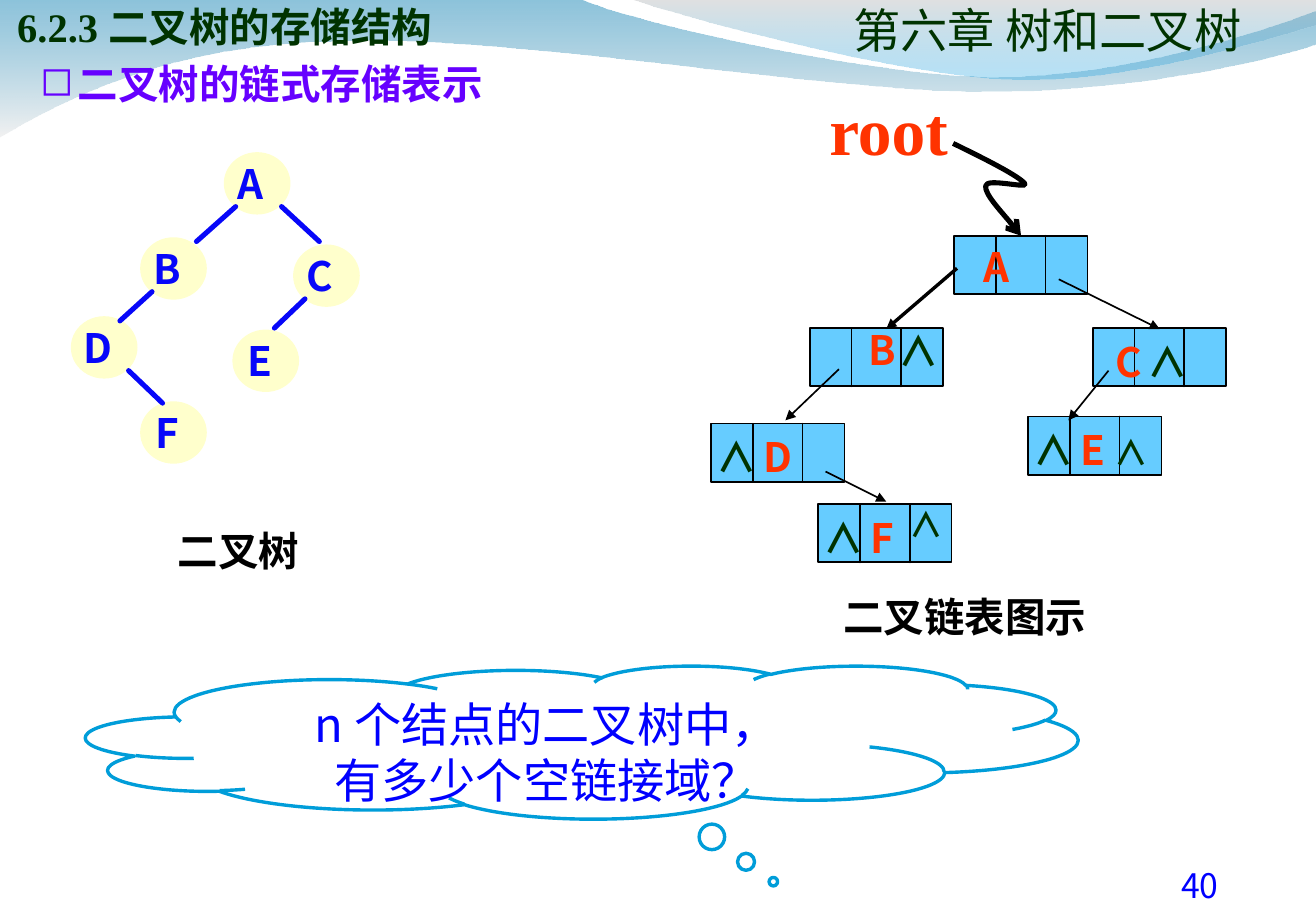
from dataclasses import dataclass

from lxml import etree
from pptx import Presentation
from pptx.dml.color import RGBColor
from pptx.enum.shapes import MSO_CONNECTOR, MSO_SHAPE
from pptx.enum.text import MSO_ANCHOR, MSO_AUTO_SIZE, PP_ALIGN
from pptx.oxml.ns import qn
from pptx.util import Cm, Pt

LEFT, CENTER = PP_ALIGN.LEFT, PP_ALIGN.CENTER
TOP, MIDDLE, BOTTOM = MSO_ANCHOR.TOP, MSO_ANCHOR.MIDDLE, MSO_ANCHOR.BOTTOM
NO_AUTOFIT = MSO_AUTO_SIZE.NONE
RECTANGLE, OVAL, CLOUD = MSO_SHAPE.RECTANGLE, MSO_SHAPE.OVAL, MSO_SHAPE.CLOUD_CALLOUT
STRAIGHT = MSO_CONNECTOR.STRAIGHT


@dataclass(frozen=True)
class Theme:
    sans: str = "Noto Sans CJK SC"
    serif: str = "Times New Roman"
    ink: str = "000000"
    green: str = "003300"
    red: str = "FF3300"
    purple: str = "6600FF"
    blue: str = "0000FF"
    tree_blue: str = "0707F9"
    tree_fill: str = "FFFFCC"
    cell_fill: str = "66CCFF"
    cloud_line: str = "009DD9"
    white: str = "FFFFFF"
    root_size: int = 40
    large: int = 28
    body: int = 24
    small: int = 20
    gap: int = 18
    narrow_gap: int = 14


THEME = Theme()


@dataclass(frozen=True)
class Run:
    text: str
    color: str
    size: int = THEME.body
    bold: bool = True
    font: str = THEME.sans


@dataclass(frozen=True)
class Label:
    """Text at an offset from the corner of its linked node."""
    runs: tuple[Run, ...]
    dx: float = 0.11
    dy: float = 0.18


@dataclass(frozen=True)
class LinkedNode:
    left: float
    top: float
    labels: tuple[Label, ...]


@dataclass(frozen=True)
class TreeNode:
    letter: str
    left: float
    top: float


@dataclass(frozen=True)
class Link:
    x1: float
    y1: float
    x2: float
    y2: float
    width: float = 1


@dataclass(frozen=True)
class Wave:
    start: tuple
    segments: tuple
    stops: tuple


NULL = Run("∧", THEME.green)
SMALL_NULL = Run("∧", THEME.green, THEME.small)
GAP = Run(" ", THEME.green, THEME.gap)
NARROW_GAP = Run(" ", THEME.green, THEME.narrow_gap)

LINKED_NODES = (
    LinkedNode(19.96, 4.93, (Label((Run("A", THEME.red),), 0.62, 0.13),)),
    LinkedNode(16.94, 6.86, (Label((Run("B", THEME.red),), 1.22, -0.07),
                             Label((NULL,), 1.86, -0.05))),
    LinkedNode(22.86, 6.86, (Label((Run("C", THEME.red), NARROW_GAP, NULL), 0.48),)),
    LinkedNode(14.88, 8.86, (Label((NULL, GAP, Run("D", THEME.red))),)),
    LinkedNode(21.51, 8.71, (Label((NULL, GAP, Run("E ", THEME.red), SMALL_NULL)),)),
    LinkedNode(17.12, 10.54, (Label((NULL, GAP, Run("F", THEME.red))),
                              Label((SMALL_NULL,), 1.9, 0))),
)
POINTERS = (
    Link(20.02, 5.61, 18.54, 6.88, 2), Link(22.15, 5.84, 24.26, 6.88),
    Link(17.55, 7.72, 16.43, 8.79), Link(23.19, 7.75, 22.35, 8.79),
    Link(17.27, 9.86, 18.54, 10.49),
)
TREE_NODES = (
    TreeNode("A", 4.7, 3.2), TreeNode("B", 2.95, 4.98), TreeNode("C", 6.15, 5.13),
    TreeNode("D", 1.5, 6.63), TreeNode("E", 4.88, 6.91), TreeNode("F", 2.95, 8.41),
)
BRANCHES = (
    Link(4.93, 4.32, 4.11, 5.05, 3), Link(5.89, 4.32, 6.68, 5.05, 3),
    Link(3.18, 6.1, 2.51, 6.71, 3), Link(6.38, 6.25, 5.74, 6.86, 3),
    Link(2.69, 7.75, 3.4, 8.43, 3),
)
WAVES = (
    Wave((0, -0.03), (
        ((12.12, -0.03),),
        ((13.08, 0.43), (18.26, 1.6), (20.88, 1.6)),
        ((23.47, 1.6), (26.37, 0.66), (27.51, 0.23)),
        ((27.56, 0.91),),
        ((27.05, 1.12), (23.93, 1.93), (20.52, 1.91)),
        ((17.12, 1.91), (10.52, 0.71), (7.09, 0.86)),
        ((3.56, 0.89), (1.27, 2.11), (-0.03, 2.87)),
    ), (("0079AF", 45), ("E7E7E7", 55))),
    Wave((13.18, -0.03), (
        ((14.02, 0.28), (18.77, 1.57), (21.16, 1.65)),
        ((23.55, 1.75), (26.47, 0.81), (27.51, 0.53)),
        ((27.51, 0),),
    ), (("BCBCBC", 45), ("009BE5", 30))),
)
ROOT_CURVE = (
    ((20.62, 3.33), (21.31, 3.68), (21.44, 3.84)),
    ((21.54, 3.96), (20.62, 3.71), (20.62, 3.89)),
    ((20.6, 4.06), (21.23, 4.75), (21.36, 4.93)),
)


def rgb(color: str) -> RGBColor:
    return RGBColor.from_string(color)


def add_runs(paragraph, runs: tuple[Run, ...], align=LEFT) -> None:
    paragraph.alignment = align
    for item in runs:
        run = paragraph.add_run()
        run.text = item.text
        run.font.name, run.font.size, run.font.bold = item.font, Pt(item.size), item.bold
        run.font.color.rgb = rgb(item.color)
        etree.SubElement(run.font._element, qn("a:ea"), typeface=THEME.sans)


def set_frame(shape, margins=(0, 0, 0, 0), anchor=TOP, wrap=True):
    frame = shape.text_frame
    frame.margin_left, frame.margin_top, frame.margin_right, frame.margin_bottom = map(Cm, margins)
    frame.word_wrap, frame.auto_size, frame.vertical_anchor = wrap, NO_AUTOFIT, anchor
    return frame


def add_text(slide, box: tuple, runs: tuple[Run, ...], align=LEFT, anchor=TOP, wrap=True):
    shape = slide.shapes.add_textbox(*map(Cm, box))
    paragraph = set_frame(shape, anchor=anchor, wrap=wrap).paragraphs[0]
    add_runs(paragraph, runs, align)
    return paragraph


def add_solid(slide, kind, box: tuple, fill: str, line: str, width: float = 1):
    shape = slide.shapes.add_shape(kind, *map(Cm, box))
    shape.shadow.inherit = False
    shape.fill.solid()
    shape.fill.fore_color.rgb = rgb(fill)
    shape.line.color.rgb, shape.line.width = rgb(line), Pt(width)
    return shape


def add_line(slide, link: Link, color: str, head: bool = False) -> None:
    line = slide.shapes.add_connector(STRAIGHT, *map(Cm, (link.x1, link.y1, link.x2, link.y2)))
    line.line.color.rgb, line.line.width = rgb(color), Pt(link.width)
    properties = line.element.spPr
    if head:
        etree.SubElement(properties.get_or_add_ln(), qn("a:tailEnd"), type="triangle")
    else:
        properties.get_or_add_ln().set("cap", "rnd")
    etree.SubElement(properties, qn("a:effectLst"))


def add_curve(slide, start: tuple, segments: tuple, close: bool):
    """Draw one-point segments straight and three-point segments as Bézier curves."""
    builder = slide.shapes.build_freeform(*map(Cm, start))
    builder.add_line_segments([(Cm(x), Cm(y)) for part in segments for x, y in part], close=close)
    shape = builder.convert_to_shape()
    shape.shadow.inherit = False
    steps = iter(list(shape.element.iter(qn("a:lnTo"))))
    for part in segments:
        first, *others = [next(steps) for _ in part]
        if others:
            first.tag = qn("a:cubicBezTo")
            for step in others:
                first.append(step[0])
                step.getparent().remove(step)
    return shape


def add_wave(slide, wave: Wave, depth: int) -> None:
    shape = add_curve(slide, wave.start, wave.segments, True)
    shape.line.fill.background()
    shape.fill.gradient()
    shape.fill.gradient_angle = 270
    for position, (stop, (color, _)) in enumerate(zip(shape.fill.gradient_stops, wave.stops)):
        stop.position, stop.color.rgb = position, rgb(color)
    for tint, (_, opacity) in zip(shape.element.spPr.iter(qn("a:srgbClr")), wave.stops):
        etree.SubElement(tint, qn("a:alpha"), val=str(opacity * 1000))
    slide.shapes._spTree.insert(2 + depth, shape.element)


def add_headings(slide) -> None:
    title = slide.shapes.title
    title.left, title.top, title.width, title.height = map(Cm, (0.36, -1.07, 20, 2.13))
    frame = set_frame(title, (0, 0.13, 0, 0), BOTTOM)
    add_runs(frame.paragraphs[0], (Run("6.2.3 二叉树的存储结构", THEME.green, font=THEME.serif),))
    chapter = Run("第六章 树和二叉树", THEME.green, THEME.large, False, THEME.serif)
    add_text(slide, (17.73, -0.79, 8.36, 2), (chapter,), CENTER, BOTTOM)

    subtitle = add_text(slide, (0.84, 1.04, 20, 1.35), ())
    properties = subtitle._p.get_or_add_pPr()
    properties.set("marL", str(Cm(0.79)))
    properties.set("indent", str(Cm(-0.79)))
    bullet_color = etree.SubElement(properties, qn("a:buClr"))
    etree.SubElement(bullet_color, qn("a:srgbClr"), val=THEME.purple)
    etree.SubElement(properties, qn("a:buChar"), char="◻")
    subtitle.line_spacing = 1.2
    add_runs(subtitle, (Run("二叉树的链式存储表示", THEME.purple),))


def add_tree(slide) -> None:
    for node in TREE_NODES:
        circle = add_solid(slide, OVAL, (node.left, node.top, 1.36, 1.27),
                           THEME.tree_fill, THEME.tree_fill)
        frame = set_frame(circle, (0, 0, 0.26, 0), MIDDLE, False)
        add_runs(frame.paragraphs[0], (Run(node.letter, THEME.tree_blue),), CENTER)
    for branch in BRANCHES:
        add_line(slide, branch, THEME.tree_blue)
    add_text(slide, (0.76, 11, 8.46, 1.27), (Run("二叉树", THEME.ink),), CENTER)


def add_linked_list(slide) -> None:
    height = 1.22
    for node in LINKED_NODES:
        add_solid(slide, RECTANGLE, (node.left, node.top, 2.79, height), THEME.cell_fill, THEME.ink)
        for divider in (node.left + 0.87, node.left + 1.91):
            add_line(slide, Link(divider, node.top, divider, node.top + height), THEME.ink)
        for label in node.labels:
            add_text(slide, (node.left + label.dx, node.top + label.dy, 3.2, 1.27), label.runs)
    for pointer in POINTERS:
        add_line(slide, pointer, THEME.ink, head=True)
    root = Run("root", THEME.red, THEME.root_size, font=THEME.serif)
    add_text(slide, (17.35, 1.85, 2.6, 1.7), (root,), wrap=False)
    arrow = add_curve(slide, (19.94, 3), ROOT_CURVE, False)
    arrow.fill.background()
    arrow.line.color.rgb, arrow.line.width = rgb(THEME.ink), Pt(3)
    etree.SubElement(arrow.element.spPr.get_or_add_ln(), qn("a:tailEnd"), type="arrow")
    add_text(slide, (15.95, 12.37, 8.46, 1.27), (Run("二叉链表图示", THEME.ink),), CENTER)


def add_question(slide) -> None:
    cloud = add_solid(slide, CLOUD, (1.8, 13.92, 20.75, 3.2), THEME.white, THEME.cloud_line, 2)
    cloud.adjustments[0], cloud.adjustments[1] = 0.193, 0.912
    frame = set_frame(cloud, (0.25, 0.13, 0.25, 0.13))
    for index, text in enumerate(("n 个结点的二叉树中，", "有多少个空链接域？")):
        paragraph = frame.add_paragraph() if index else frame.paragraphs[0]
        add_runs(paragraph, (Run(text, THEME.blue, THEME.large, False),), CENTER)


def main() -> None:
    prs = Presentation()
    prs.slide_width, prs.slide_height = Cm(27.53), Cm(19.05)
    slide = prs.slides.add_slide(prs.slide_layouts[5])
    for depth, wave in enumerate(WAVES):
        add_wave(slide, wave, depth)
    add_headings(slide)
    add_linked_list(slide)
    add_tree(slide)
    add_question(slide)
    add_text(slide, (22.8, 18.08, 4.6, 1), (Run("40", THEME.blue, THEME.small, False),), CENTER)
    prs.save("out.pptx")


if __name__ == "__main__":
    main()
